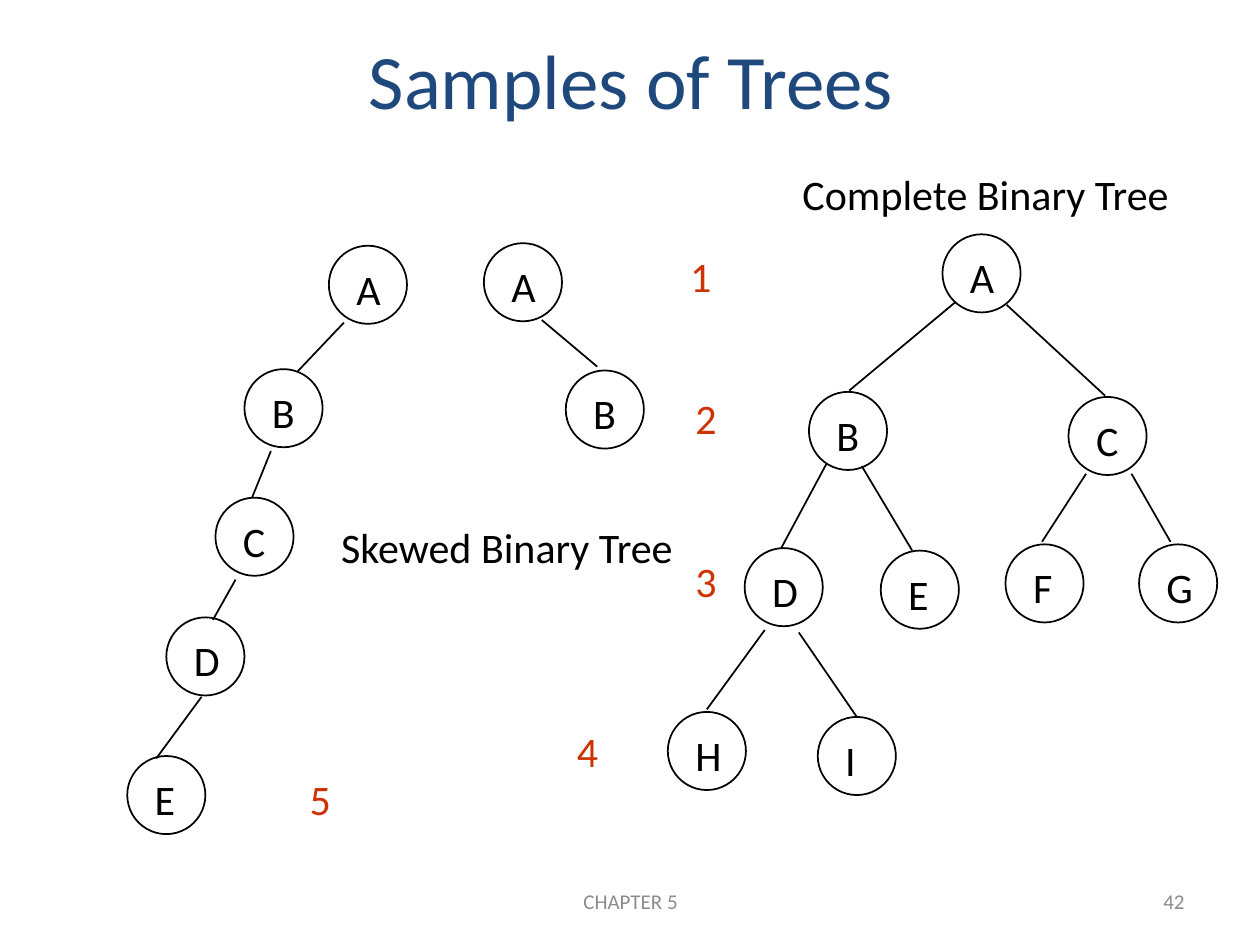
import dataclasses

import pptx
import pptx.dml.color
import pptx.enum.shapes
import pptx.enum.text
import pptx.oxml
import pptx.oxml.ns
import pptx.util
from pptx.util import Inches

ALIGN = pptx.enum.text.PP_ALIGN
ANCHOR = pptx.enum.text.MSO_ANCHOR


@dataclasses.dataclass(frozen=True)
class Theme:
    font: str = "Calibri"
    ink: str = "000000"
    title: str = "1F497D"
    level: str = "CC3300"
    footer: str = "8C8C8C"
    title_size: int = 44
    body_size: int = 24
    footer_size: int = 12
    line_width: int = 1
    node: float = 0.62
    label_height: float = 0.5


THEME = Theme()
LABEL_WIDTHS = {"A": 0.44, "B": 0.42, "C": 0.42, "D": 0.44, "E": 0.4,
                "F": 0.39, "G": 0.44, "H": 0.44, "I": 0.31}

# Trees: box corner, node corners and branch ends, the last two relative to the box
LEFT_SKEWED = (
    (1.01, 1.95),
    {"A": (1.6, 0), "B": (0.93, 0.98), "C": (0.7, 2), "D": (0.31, 2.95), "E": (0, 4.05)},
    [(1.72, 0.61, 1.35, 1), (1.14, 1.63, 0.99, 2),
     (0.86, 2.65, 0.68, 2.97), (0.59, 3.58, 0.23, 4.07)],
)
RIGHT_SKEWED = (
    (3.84, 1.93),
    {"A": (0, 0), "B": (0.65, 1.01)},
    [(0.46, 0.61, 0.9, 0.98)],
)
COMPLETE = (
    (5.3, 1.86),
    {"A": (2.18, 0), "B": (1.12, 1.25), "C": (3.18, 1.29),
     "D": (0.61, 2.49), "E": (1.69, 2.51), "F": (2.68, 2.46), "G": (3.74, 2.46),
     "H": (0, 3.79), "I": (1.19, 3.83)},
    [(2.28, 0.54, 1.44, 1.24), (2.69, 0.56, 3.47, 1.28),
     (1.26, 1.82, 0.9, 2.49), (1.54, 1.84, 1.94, 2.51),
     (3.32, 1.9, 2.97, 2.44), (3.68, 1.9, 3.99, 2.44),
     (0.77, 3.14, 0.31, 3.77), (1.04, 3.16, 1.5, 3.83)],
)
CAPTIONS = [("Complete Binary Tree", 6.27, 1.29, 3.18),
            ("Skewed Binary Tree", 2.61, 4.09, 2.94)]
LEVELS = [("1", 5.38, 1.94), ("2", 5.42, 3.07), ("3", 5.42, 4.36),
          ("4", 4.48, 5.71), ("5", 2.36, 6.09)]


def color(value):
    return pptx.dml.color.RGBColor.from_string(value)


def add_text(shapes, text, left, top, width, height, size, ink, align=ALIGN.LEFT):
    box = shapes.add_textbox(Inches(left), Inches(top), Inches(width), Inches(height))
    para = box.text_frame.paragraphs[0]
    para.text = text
    para.alignment = align
    para.font.name = THEME.font
    para.font.size = pptx.util.Pt(size)
    para.font.color.rgb = color(ink)
    return box.text_frame


def add_label(shapes, text, left, top, width, ink=THEME.ink):
    """One line of body text in a box that fits it."""
    frame = add_text(shapes, text, left, top, width, THEME.label_height,
                     THEME.body_size, ink)
    frame.word_wrap = False
    frame.auto_size = pptx.enum.text.MSO_AUTO_SIZE.SHAPE_TO_FIT_TEXT


def add_banner(shapes, text, left, top, width, height, size, ink, align):
    """Wrapped text centred vertically in its box."""
    frame = add_text(shapes, text, left, top, width, height, size, ink, align)
    frame.word_wrap = True
    frame.vertical_anchor = ANCHOR.MIDDLE


def style_line(line):
    line.color.rgb = color(THEME.ink)
    line.width = pptx.util.Pt(THEME.line_width)


def add_node(page, letter, left, top):
    group = page.shapes.add_group_shape()
    circle = group.shapes.add_shape(
        pptx.enum.shapes.MSO_SHAPE.OVAL, Inches(left), Inches(top),
        Inches(THEME.node), Inches(THEME.node))
    circle.shadow.inherit = False
    circle.fill.background()
    style_line(circle.line)
    add_label(group.shapes, letter, left + 0.12, top + 0.09, LABEL_WIDTHS[letter])


def add_branch(page, x1, y1, x2, y2):
    branch = page.shapes.add_connector(
        pptx.enum.shapes.MSO_CONNECTOR.STRAIGHT,
        Inches(x1), Inches(y1), Inches(x2), Inches(y2))
    style_line(branch.line)
    properties = branch._element.spPr
    properties.append(pptx.oxml.parse_xml(
        f'<a:effectLst {pptx.oxml.ns.nsdecls("a")}/>'))


def add_tree(page, corner, nodes, branches):
    left, top = corner
    for letter, (x, y) in nodes.items():
        add_node(page, letter, left + x, top + y)
    for x1, y1, x2, y2 in branches:
        add_branch(page, left + x1, top + y1, left + x2, top + y2)


def add_footer(page, top, height):
    for text, left, width, align in [("CHAPTER 5", 3.42, 3.17, ALIGN.CENTER),
                                     ("42", 7.17, 2.33, ALIGN.RIGHT)]:
        add_banner(page.shapes, text, left, top, width, height,
                   THEME.footer_size, THEME.footer, align)


def main():
    deck = pptx.Presentation()
    deck.slide_width, deck.slide_height = Inches(10), Inches(7.5)
    page = deck.slides.add_slide(deck.slide_layouts[6])

    # Footer and title
    add_footer(page, 6.95, 0.4)
    add_banner(page.shapes, "Samples of Trees", 0, 0, 10.02, 1.25,
               THEME.title_size, THEME.title, ALIGN.CENTER)

    # Trees
    for corner, nodes, branches in (LEFT_SKEWED, RIGHT_SKEWED, COMPLETE):
        add_tree(page, corner, nodes, branches)

    # Captions and level numbers
    for text, left, top, width in CAPTIONS:
        add_label(page.shapes, text, left, top, width)
    for text, left, top in LEVELS:
        add_label(page.shapes, text, left, top, 0.37, THEME.level)

    deck.save("out.pptx")


if __name__ == "__main__":
    main()
